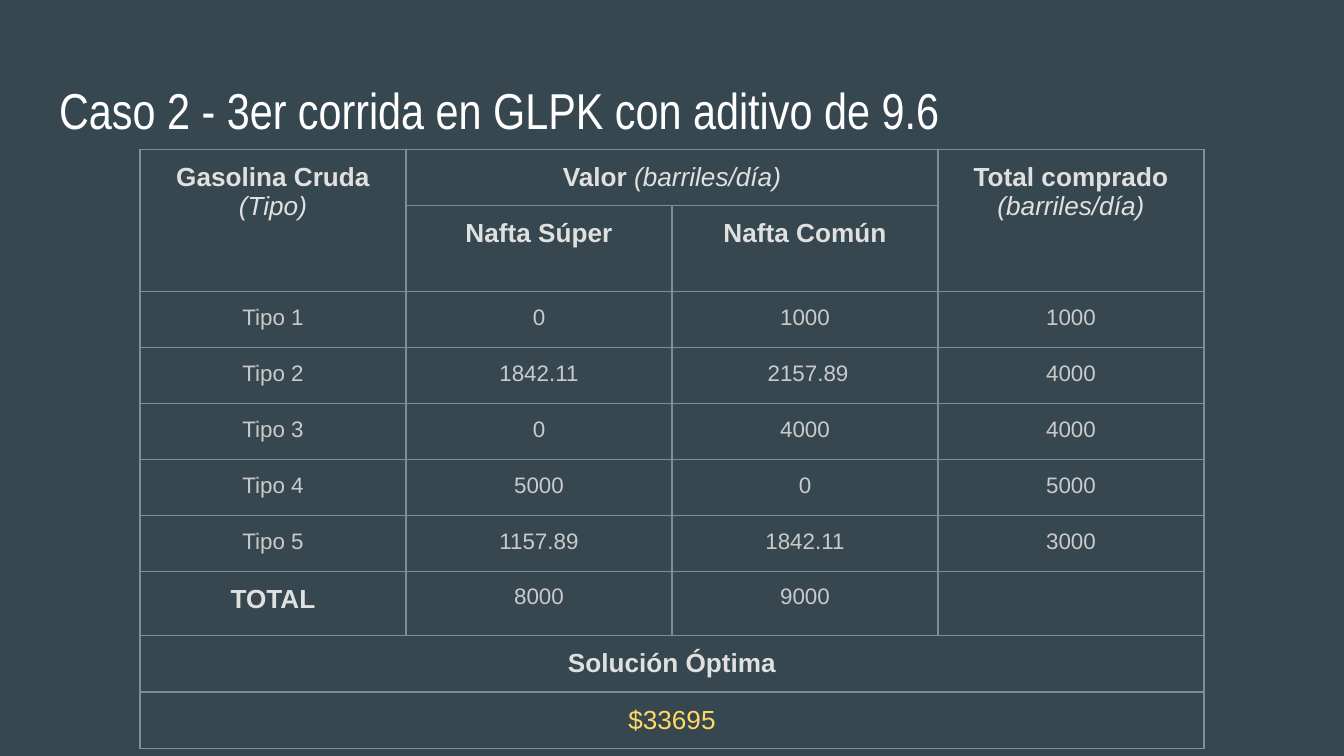
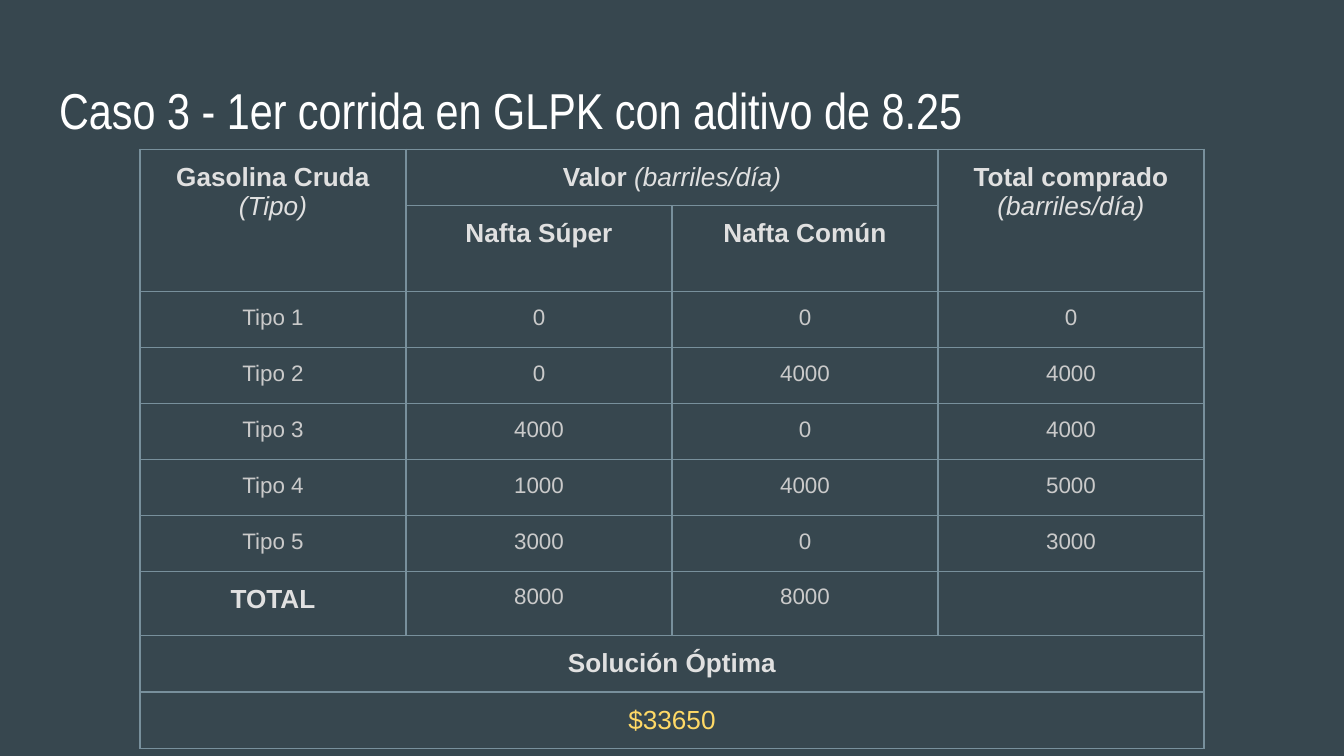
from lxml.etree import SubElement
from pptx import Presentation
from pptx.dml.color import RGBColor
from pptx.enum.text import MSO_ANCHOR, MSO_AUTO_SIZE, PP_ALIGN
from pptx.oxml.ns import qn
from pptx.util import Pt

# Content: each paragraph is a list of (text, style) runs
HEADER = [
    (0, 0, [[("Gasolina Cruda", "head")], [("(Tipo)", "unit")]]),
    (0, 1, [[("Valor ", "head"), ("(barriles/día)", "unit")]]),
    (0, 3, [[("Total comprado", "head")], [("(barriles/día)", "unit")]]),
    (1, 1, [[("Nafta Súper", "head")]]),
    (1, 2, [[("Nafta Común", "head")]]),
]
RUNS = [
    {
        "title": "Caso 2 - 3er corrida en GLPK con aditivo de 9.6",
        "types": [
            ("0", "1000", "1000"),
            ("1842.11", " 2157.89", "4000"),
            ("0", "4000", "4000"),
            ("5000", "0", "5000"),
            ("1157.89", "1842.11", "3000"),
        ],
        "total": ("8000", "9000"),
        "optimum": "$33695",
    },
    {
        "title": "Caso 3 - 1er corrida en GLPK con aditivo de 8.25",
        "types": [
            ("0", "0", "0"),
            ("0", "4000", "4000"),
            ("4000", "0", "4000"),
            ("1000", "4000", "5000"),
            ("3000", "0", "3000"),
        ],
        "total": ("8000", "8000"),
        "optimum": "$33650",
    },
]

# Shared look: size, colour, bold, italic
STYLES = {
    "head": (14, "E0E0E0", True, False),
    "unit": (14, "E0E0E0", False, True),
    "value": (12, "CACACA", False, False),
    "optimum": (14, "FFD966", False, False),
}
BACKGROUND, BORDER, WHITE = "37474F", "78909C", "FFFFFF"
N_ROWS, N_COLS = 10, 4
COL_W, ROW_H = 142.5, 30
TABLE_LEFT, TABLE_TOP = 75, 80
INSET = 7.2
MERGES = [((0, 0), (1, 0)), ((0, 1), (0, 2)), ((0, 3), (1, 3)),
          ((8, 0), (8, 3)), ((9, 0), (9, 3))]


def rgb(color):
    return RGBColor.from_string(color)


def set_insets(box):
    box.margin_left = box.margin_right = Pt(INSET)
    box.margin_top = box.margin_bottom = Pt(INSET)


def add_run(p, text, size, color, bold=False, italic=False, font="Arial"):
    r = p.add_run()
    r.text = text
    r.font.name, r.font.size = font, Pt(size)
    r.font.bold, r.font.italic = bold, italic
    r.font.color.rgb = rgb(color)


def add_title(s, text):
    sp = s.shapes.title
    sp.left, sp.top, sp.width, sp.height = Pt(24.5), Pt(35.3), Pt(671), Pt(45.4)
    tf = sp.text_frame
    set_insets(tf)
    tf.word_wrap = True
    tf.auto_size = MSO_AUTO_SIZE.NONE
    tf.vertical_anchor = MSO_ANCHOR.TOP
    p = tf.paragraphs[0]
    p.alignment = PP_ALIGN.LEFT
    add_run(p, text, 27, WHITE, font="Arial Narrow")


def format_cell(cell):
    set_insets(cell)
    tcPr = cell._tc.get_or_add_tcPr()
    for side in ("a:lnL", "a:lnR", "a:lnT", "a:lnB"):
        ln = SubElement(tcPr, qn(side), w=str(Pt(0.75)))
        fill = SubElement(ln, qn("a:solidFill"))
        SubElement(fill, qn("a:srgbClr"), val=BORDER)
    cell.fill.background()


def fill_cell(cell, paragraphs):
    tf = cell.text_frame
    for i, runs in enumerate(paragraphs):
        p = tf.add_paragraph() if i else tf.paragraphs[0]
        p.alignment = PP_ALIGN.CENTER
        for text, style in runs:
            add_run(p, text, *STYLES[style])


def table_cells(run):
    """List every filled cell as (row, column, paragraphs)."""
    cells = list(HEADER)
    rows = [(f"Tipo {n}", *values) for n, values in enumerate(run["types"], 1)]
    rows.append(("TOTAL", *run["total"]))
    for i, row in enumerate(rows, 2):
        for j, text in enumerate(row):
            style = "head" if text == "TOTAL" else "value"
            cells.append((i, j, [[(text, style)]]))
    cells.append((8, 0, [[("Solución Óptima", "head")]]))
    cells.append((9, 0, [[(run["optimum"], "optimum")]]))
    return cells


def add_results(s, run):
    table = s.shapes.add_table(N_ROWS, N_COLS, Pt(TABLE_LEFT), Pt(TABLE_TOP),
                               Pt(N_COLS * COL_W), Pt(N_ROWS * ROW_H)).table
    table.first_row = table.horz_banding = False
    for col in table.columns:
        col.width = Pt(COL_W)
    for row in table.rows:
        row.height = Pt(ROW_H)
    for cell in table.iter_cells():
        format_cell(cell)
    for start, end in MERGES:
        table.cell(*start).merge(table.cell(*end))
    for i, j, paragraphs in table_cells(run):
        fill_cell(table.cell(i, j), paragraphs)
    # The empty total cell sets the height of its row
    p = table.cell(7, 3).text_frame.paragraphs[0]
    end_props = SubElement(p._p, qn("a:endParaRPr"), sz="1800")
    SubElement(end_props, qn("a:latin"), typeface="Arial")


def main():
    prs = Presentation()
    prs.slide_width, prs.slide_height = Pt(720), Pt(405)
    fill = prs.slide_master.background.fill
    fill.solid()
    fill.fore_color.rgb = rgb(BACKGROUND)
    for run in RUNS:
        s = prs.slides.add_slide(prs.slide_layouts[5])
        add_title(s, run["title"])
        add_results(s, run)
    prs.save("out.pptx")


if __name__ == "__main__":
    main()
